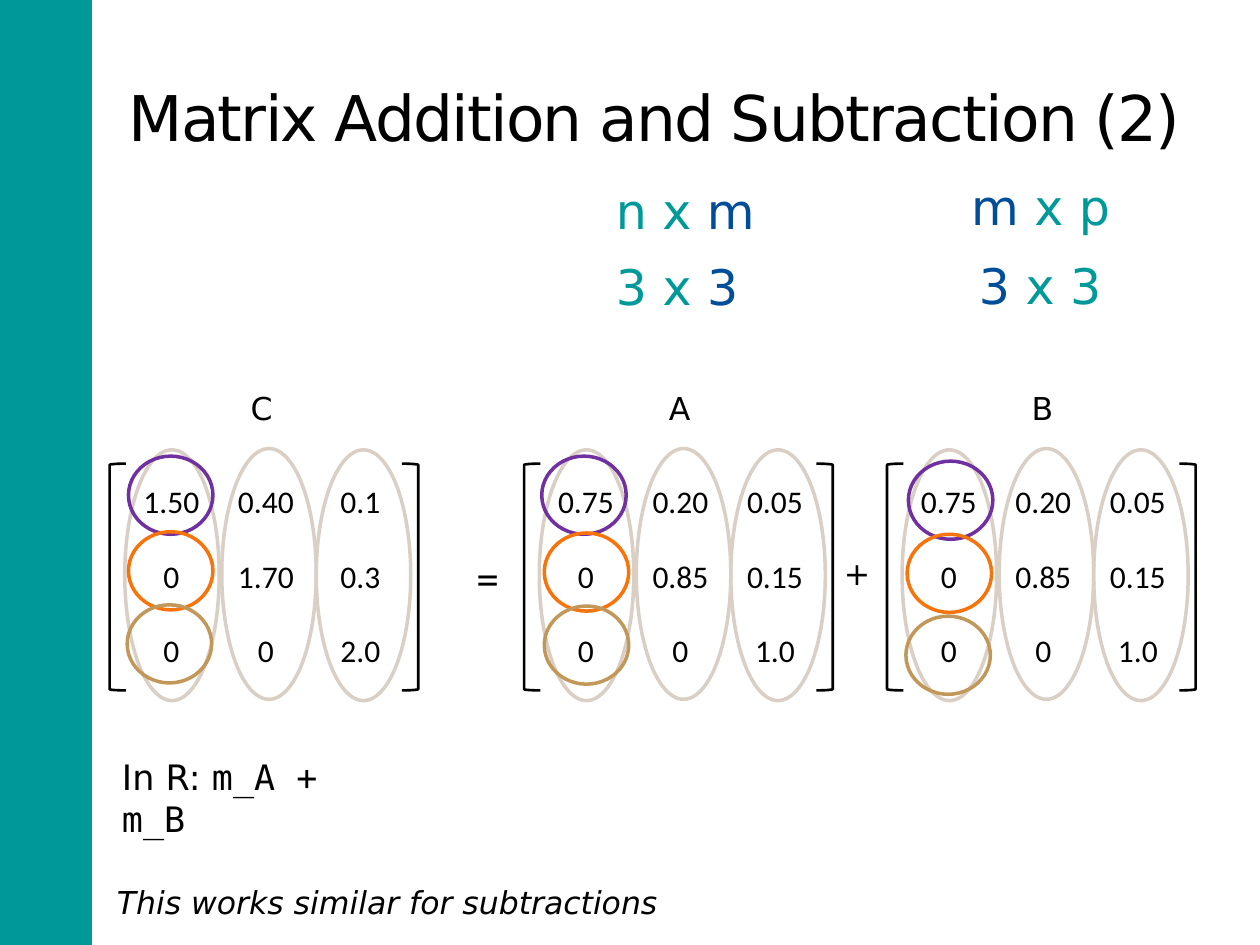
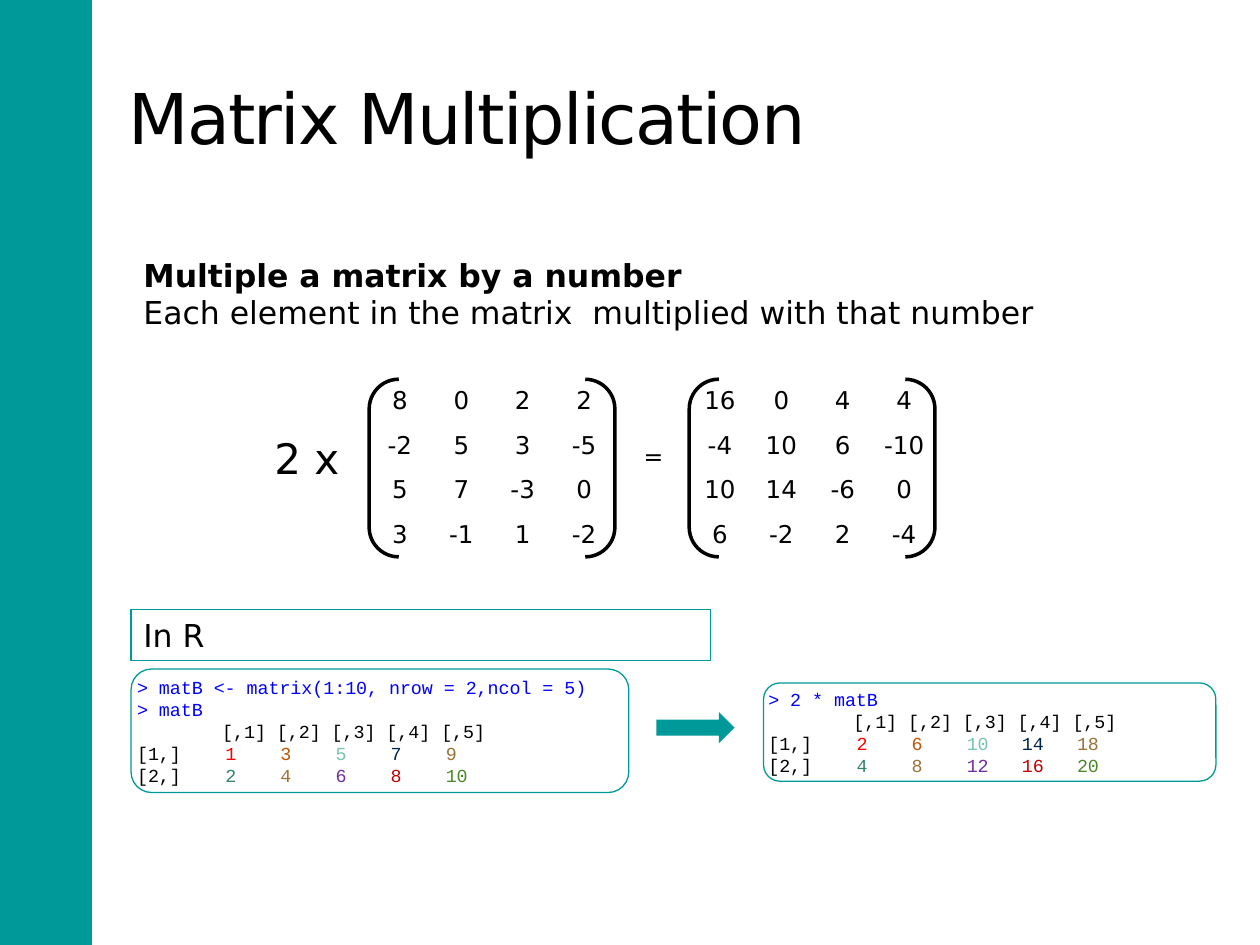
from pptx import Presentation
from pptx import util as u
from pptx.dml.color import RGBColor
from pptx.enum import shapes, text
from lxml import etree

# Shared colours and fonts
BLACK = RGBColor(0x00, 0x00, 0x00)
WHITE = RGBColor(0xFF, 0xFF, 0xFF)
TEAL = RGBColor(0x00, 0x99, 0x99)
NAVY = RGBColor(0x00, 0x4D, 0x99)
SAND = RGBColor(0xD9, 0xCF, 0xC5)
PURPLE = RGBColor(0x70, 0x30, 0xA0)
ORANGE = RGBColor(0xF7, 0x73, 0x0B)
OCHRE = RGBColor(0xC1, 0x98, 0x59)
BLUE = RGBColor(0x00, 0x00, 0xFF)
RED = RGBColor(0xFF, 0x00, 0x00)
RUST = RGBColor(0xBB, 0x56, 0x06)
MINT = RGBColor(0x76, 0xC6, 0xAA)
MIDNIGHT = RGBColor(0x00, 0x26, 0x4C)
BRONZE = RGBColor(0x9A, 0x74, 0x3A)
PINE = RGBColor(0x37, 0x83, 0x69)
CRIMSON = RGBColor(0xC0, 0x00, 0x00)
GRASS = RGBColor(0x4B, 0x88, 0x28)
OUTPUT_COLOURS = ((RED, RUST, MINT, MIDNIGHT, BRONZE),
                  (PINE, BRONZE, PURPLE, CRIMSON, GRASS))

SANS, MONO, NUMBERS, CODE = "DejaVu Sans", "DejaVu Sans Mono", "Calibri", "Courier New"
FORM = shapes.MSO_SHAPE
DRAWING = "{http://schemas.openxmlformats.org/drawingml/2006/main}"
CODE_SIZE = 10.5
CODE_CHAR = CODE_SIZE * 0.6 / 72  # width of one Courier New character, in inches


def set_all(target, values):
    for name, value in values.items():
        setattr(target, name, value)


def box(left, top, width, height):
    return [u.Inches(v) for v in (left, top, width, height)]


class Deck:
    def __init__(self):
        self.prs = Presentation()
        self.prs.slide_width, self.prs.slide_height = u.Inches(10), u.Inches(7.5)
        self.slide = None

    def start(self, title, size, width):
        """Open a title-only slide; the first one also gives the master its band."""
        first = self.slide is None
        self.slide = self.prs.slides.add_slide(self.prs.slide_layouts[5])
        if first:
            band = self.shape(FORM.RECTANGLE, (-0.02, 0, 0.75, 7.5), fill=TEAL)
            self.prs.slide_master.shapes.element.insert(2, band.element)
        heading = self.slide.shapes.title
        set_all(heading, dict(zip(("left", "top", "width", "height"),
                                  box(0.92, 0.3, width, 1.25))))
        self.frame(heading.text_frame, anchor=text.MSO_ANCHOR.MIDDLE)
        run = self.put_runs(heading.text_frame.paragraphs[0], [(title, {})], size=size)
        run.font._element.set("spc", "-100")

    def shape(self, form, place, fill=None, line=None, weight=2):
        item = self.slide.shapes.add_shape(form, *box(*place))
        item.shadow.inherit = False
        if fill is None:
            item.fill.background()
        else:
            item.fill.solid()
            item.fill.fore_color.rgb = fill
        if line is None:
            item.line.fill.background()
        else:
            item.line.color.rgb = line
            item.line.width = u.Pt(weight)
        return item

    def frame(self, body, wrap=True, anchor=text.MSO_ANCHOR.TOP, inset=(0.1, 0.05)):
        across, down = (u.Inches(v) for v in inset)
        set_all(body, {"word_wrap": wrap, "vertical_anchor": anchor,
                       "auto_size": text.MSO_AUTO_SIZE.NONE,
                       "margin_left": across, "margin_right": across,
                       "margin_top": down, "margin_bottom": down})

    def put_runs(self, paragraph, runs, size=18, name=SANS, align=text.PP_ALIGN.LEFT):
        """Fill a paragraph from (text, format) pairs; return the last run."""
        paragraph.alignment = align
        for words, changes in runs:
            style = {"name": name, "size": u.Pt(size), "bold": False, "italic": False,
                     "color": BLACK, **changes}
            run = paragraph.add_run()
            run.text = words
            run.font.color.rgb = style.pop("color")
            set_all(run.font, style)
        return run

    def label(self, place, runs, wrap=True, **style):
        if isinstance(runs, str):
            runs = [(runs, {})]
        body = self.slide.shapes.add_textbox(*box(*place)).text_frame
        self.frame(body, wrap)
        self.put_runs(body.paragraphs[0], runs, **style)
        return body

    def matrix(self, left, rows, rings):
        """Square brackets, a 3 x 3 grid, an oval per column and a ring per first value."""
        for form, offset in ((FORM.LEFT_BRACKET, 0), (FORM.RIGHT_BRACKET, 2.32)):
            bracket = self.shape(form, (left + offset, 3.68, 0.13, 1.8),
                                 line=BLACK, weight=1.5)
            bracket.adjustments[0] = 0.08
        for r, row in enumerate(rows):
            for c, value in enumerate(row):
                self.label((left + 0.13 + 0.75 * c, 3.78 + 0.59 * r, 0.72, 0.4), value,
                           name=NUMBERS, align=text.PP_ALIGN.CENTER)
        for offset, top in ((0.12, 3.57), (0.89, 3.56), (1.64, 3.57)):
            self.shape(FORM.OVAL, (left + offset, top, 0.75, 1.99), line=SAND)
        for (x, y), colour in zip(rings, (PURPLE, ORANGE, OCHRE)):
            self.shape(FORM.OVAL, (x, y, 0.67, 0.62), line=colour)

    def number_table(self, left, rows):
        place = (left, 3.01, 1.95, 1.41)
        grid = self.slide.shapes.add_table(len(rows), len(rows[0]), *box(*place)).table
        set_all(grid, {"first_row": False, "horz_banding": False})
        for r, row in enumerate(rows):
            for c, value in enumerate(row):
                cell = grid.cell(r, c)
                cell.fill.solid()
                cell.fill.fore_color.rgb = WHITE
                set_all(cell, {"vertical_anchor": text.MSO_ANCHOR.MIDDLE,
                               "margin_left": u.Inches(0.07), "margin_right": u.Inches(0.07),
                               "margin_top": u.Inches(0.04),
                               "margin_bottom": u.Inches(0.04)})
                self.put_runs(cell.text_frame.paragraphs[0], [(str(value), {})], size=14,
                              align=text.PP_ALIGN.CENTER)
        self.shape(FORM.DOUBLE_BRACKET, place, line=BLACK)

    def console(self, place, commands, rows):
        """Commands in blue, then a printed matrix whose columns sit on tab stops."""
        panel = self.shape(FORM.ROUNDED_RECTANGLE, place, WHITE, TEAL, 0.75)
        body = panel.text_frame
        self.frame(body, anchor=text.MSO_ANCHOR.MIDDLE, inset=(0, 0))
        header = " ".join(f"[,{n}]" for n in range(1, 6))
        lines = [[(command, {"color": BLUE})] for command in commands]
        lines.append([(header, {})])
        for n, (values, colours) in enumerate(zip(rows, OUTPUT_COLOURS), 1):
            lines.append([(f"[{n},]", {})] + [(f"\t{value}", {"color": colour})
                                             for value, colour in zip(values, colours)])
        for n, runs in enumerate(lines):
            paragraph = body.paragraphs[0] if n == 0 else body.add_paragraph()
            self.put_runs(paragraph, runs, size=CODE_SIZE, name=CODE)
            props = paragraph._p.get_or_add_pPr()
            if runs[0][0] == header:
                props.set("marL", str(u.Inches(0.5 + 2 * CODE_CHAR)))
            elif len(runs) > 1:
                stops = etree.SubElement(props, DRAWING + "tabLst")
                for column in range(5):
                    etree.SubElement(stops, DRAWING + "tab", algn="l",
                                     pos=str(u.Inches((8 + 5 * column) * CODE_CHAR)))


def addition_slide(deck):
    deck.start("Matrix Addition and Subtraction (2)", 36, 8.96)

    # Dimensions of the two terms
    teal, navy = {"color": TEAL}, {"color": NAVY}
    for place, runs in (
            ((4.79, 1.38, 1.34, 0.57), [("n x ", teal), ("m", navy)]),
            ((4.79, 1.99, 1.21, 0.57), [("3 x ", teal), ("3", navy)]),
            ((7.61, 1.35, 1.34, 0.57), [("m", navy), (" x p", teal)]),
            ((7.67, 1.98, 1.21, 0.57), [("3", navy), (" x 3", teal)])):
        deck.label(place, runs, wrap=False, size=28)

    # C = A + B
    term = (("0.75", "0.20", "0.05"), ("0", "0.85", "0.15"), ("0", "0", "1.0"))
    total = (("1.50", "0.40", "0.1"), ("0", "1.70", "0.3"), ("0", "0", "2.0"))
    deck.matrix(0.87, total, ((1.02, 3.62), (1.02, 4.22), (1.01, 4.8)))
    deck.matrix(4.16, term, ((4.3, 3.62), (4.32, 4.23), (4.32, 4.81)))
    deck.matrix(7.04, term, ((7.21, 3.66), (7.2, 4.24), (7.19, 4.89)))
    for letter, left in (("C", 1.89), ("A", 5.21), ("B", 8.09)):
        deck.label((left, 3.04, 0.4, 0.4), letter)
    deck.label((3.51, 4.32, 0.72, 0.54), "=", size=26, name=NUMBERS,
               align=text.PP_ALIGN.CENTER)
    deck.label((6.6, 4.35, 0.4, 0.4), "+")

    # R expression and closing remark
    deck.label((0.87, 5.95, 2.4, 0.44), [("In R: ", {}), ("m_A + m_B", {"name": MONO})],
               size=20)
    deck.label((0.83, 6.96, 4.56, 0.4),
               [("This works similar for subtractions", {"italic": True})], wrap=False)


def multiplication_slide(deck):
    deck.start("Matrix Multiplication", 40, 8.33)

    # Rule
    rule = deck.label((1.04, 1.98, 8.22, 0.71),
                      [("Multiple a matrix by a number", {"bold": True})])
    deck.put_runs(rule.add_paragraph(),
                  [("Each element in the matrix  multiplied with that number", {})])

    # Worked example
    factor = 2
    numbers = ((8, 0, 2, 2), (-2, 5, 3, -5), (5, 7, -3, 0), (3, -1, 1, -2))
    deck.label((2.08, 3.38, 0.73, 0.5), f"{factor} x", wrap=False, size=24)
    deck.number_table(2.93, numbers)
    deck.label((5.01, 3.46, 0.36, 0.33), "=", wrap=False, size=13.5)
    deck.number_table(5.47, [[factor * n for n in row] for row in numbers])

    # The same in R
    in_r = deck.shape(FORM.RECTANGLE, (1.04, 4.84, 4.6, 0.4), line=TEAL, weight=0.75)
    deck.frame(in_r.text_frame)
    deck.put_runs(in_r.text_frame.paragraphs[0], [("In R", {})])
    mat_b = (range(1, 11, 2), range(2, 11, 2))
    deck.console((1.04, 5.31, 3.95, 0.98),
                 ("> matB <- matrix(1:10, nrow = 2,ncol = 5)", "> matB"), mat_b)
    deck.shape(FORM.RIGHT_ARROW, (5.21, 5.65, 0.62, 0.25), fill=TEAL)
    deck.console((6.06, 5.42, 3.59, 0.78), ("> 2 * matB",),
                 [[factor * n for n in row] for row in mat_b])


def main():
    deck = Deck()
    addition_slide(deck)
    multiplication_slide(deck)
    deck.prs.save("out.pptx")


if __name__ == "__main__":
    main()
